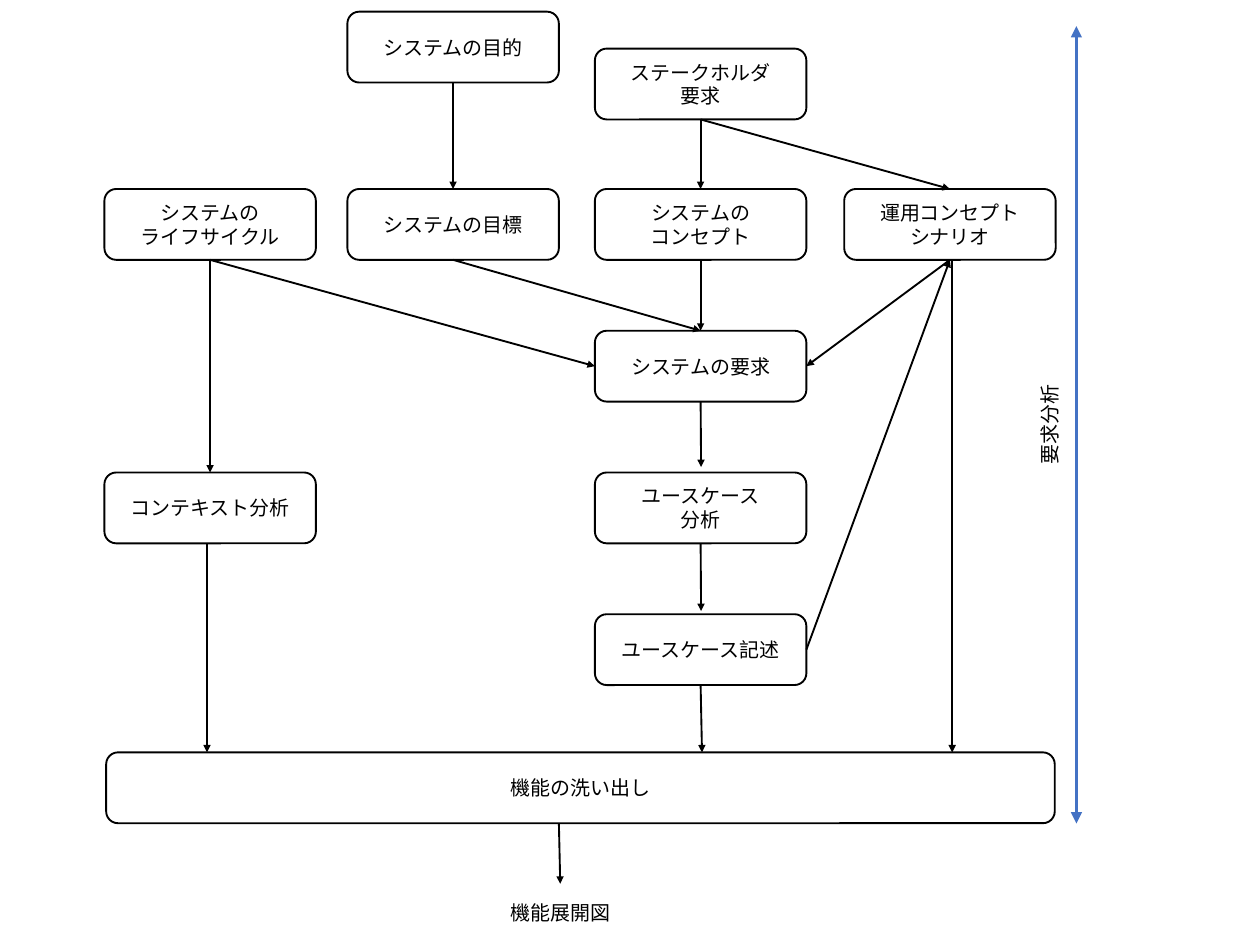
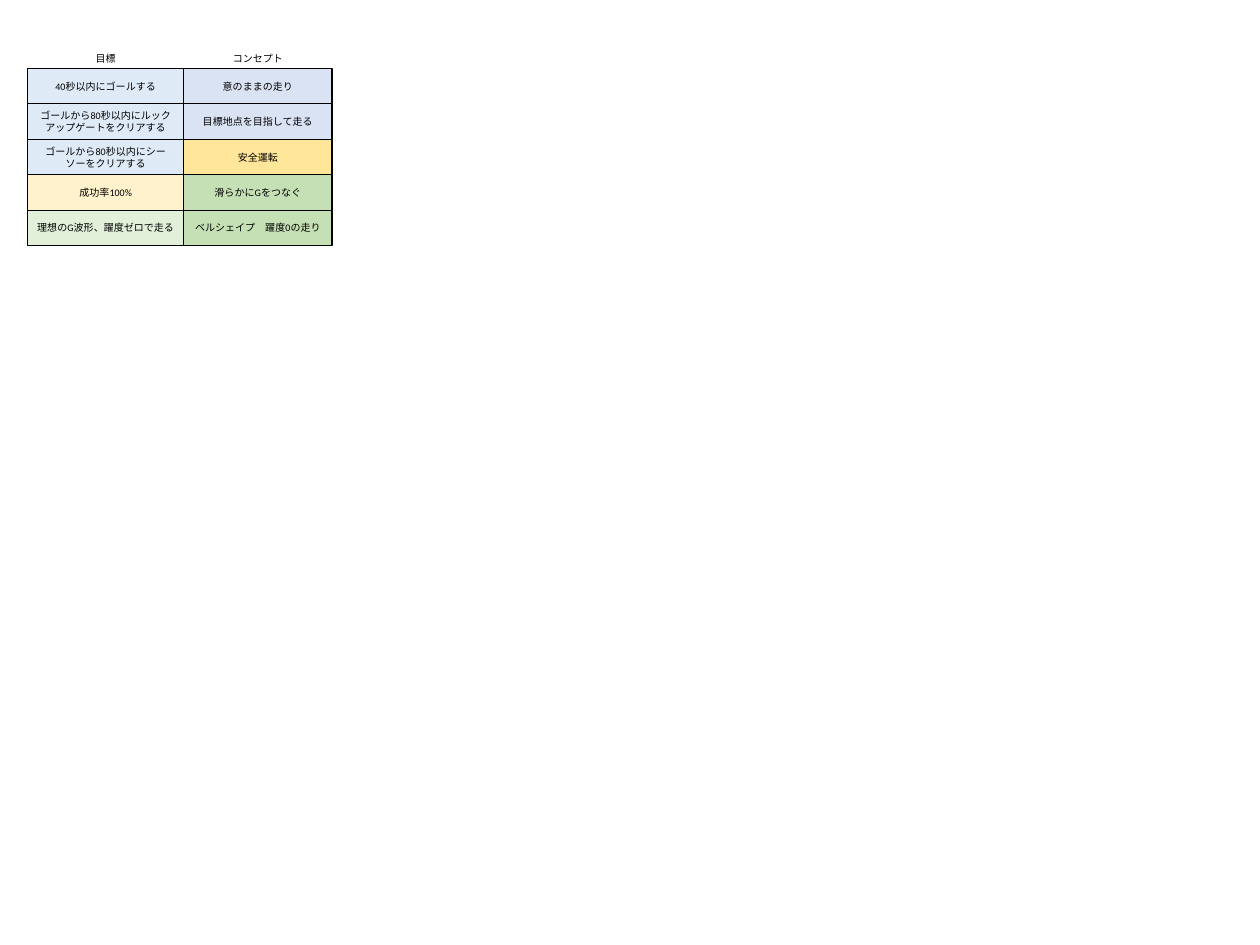
from pptx import Presentation
from pptx.dml.color import RGBColor
from pptx.enum.shapes import MSO_CONNECTOR, MSO_SHAPE
from pptx.enum.text import MSO_ANCHOR, PP_ALIGN
from pptx.oxml.ns import qn
from pptx.util import Inches, Pt
from lxml import etree

ROUND, RECT = MSO_SHAPE.ROUNDED_RECTANGLE, MSO_SHAPE.RECTANGLE
LINE = MSO_CONNECTOR.STRAIGHT
MIDDLE, CENTER = MSO_ANCHOR.MIDDLE, PP_ALIGN.CENTER
TOP, LEFT, BOTTOM, RIGHT = range(4)

BLACK = RGBColor(0x00, 0x00, 0x00)
WHITE = RGBColor(0xFF, 0xFF, 0xFF)
BLUE = RGBColor(0x44, 0x72, 0xC4)
SKY = RGBColor(0xDE, 0xEB, 0xF7)
CREAM = RGBColor(0xFF, 0xF2, 0xCC)
MINT = RGBColor(0xE2, 0xF0, 0xD9)
MIST = RGBColor(0xDA, 0xE3, 0xF3)
GOLD = RGBColor(0xFF, 0xE6, 0x99)
GREEN = RGBColor(0xC5, 0xE0, 0xB4)

COLS = (1.16, 3.86, 6.61, 9.38)
WIDE = 2.35
STEP = 6.3 / 4
HIGH = STEP / 2
ROWS = [2.1 + STEP * i for i in range(4)]

BOXES = {
    "stake": (COLS[2], 0.54, "ステークホルダ\n要求"),
    "aim": (COLS[1], 0.13, "システムの目的"),
    "goal": (COLS[1], ROWS[0], "システムの目標"),
    "life": (COLS[0], ROWS[0], "システムの\nライフサイクル"),
    "concept": (COLS[2], ROWS[0], "システムの\nコンセプト"),
    "scene": (COLS[3], ROWS[0], "運用コンセプト\nシナリオ"),
    "need": (COLS[2], ROWS[1], "システムの要求"),
    "case": (COLS[2], ROWS[2], "ユースケース\n分析"),
    "context": (COLS[0], ROWS[2], "コンテキスト分析"),
    "detail": (COLS[2], ROWS[3], "ユースケース記述"),
}

LINKS = (
    (("aim", BOTTOM), ("goal", TOP)),
    (("stake", BOTTOM), ("concept", TOP)),
    (("stake", BOTTOM), ("scene", TOP)),
    (("goal", BOTTOM), ("need", TOP)),
    (("concept", BOTTOM), ("need", TOP)),
    (("need", BOTTOM), (7.79, 5.19)),
    (("life", BOTTOM), ("context", TOP)),
    (("case", BOTTOM), (7.79, 6.79)),
    ((2.3, 6.04), (2.3, 8.36)),
    (("detail", BOTTOM), (7.8, 8.36)),
    ((10.58, 2.89), (10.58, 8.36)),
    ((6.21, 9.15), ("chart", TOP)),
    (("detail", RIGHT), ("scene", BOTTOM)),
    (("scene", BOTTOM), ("need", RIGHT)),
    (("life", BOTTOM), ("need", LEFT)),
)

GRID = (
    (0.31, 1.73, "目標", (
        ("40秒以内にゴールする", SKY),
        ("ゴールから80秒以内にルックアップゲートをクリアする", SKY),
        ("ゴールから80秒以内にシーソーをクリアする", SKY),
        ("成功率100%", CREAM),
        ("理想のG波形、躍度ゼロで走る", MINT))),
    (2.04, 1.65, "コンセプト", (
        ("意のままの走り", MIST),
        ("目標地点を目指して走る", MIST),
        ("安全運転", GOLD),
        ("滑らかにGをつなぐ", GREEN),
        ("ベルシェイプ\u3000躍度0の走り".replace("\u3000", "　"), GREEN))),
)
GRID_TOP, GRID_STEP = 0.76, 1.97 / 5


def write(shape, text, size):
    """Put centred text into a shape."""
    frame = shape.text_frame
    frame.word_wrap = True
    frame.vertical_anchor = MIDDLE
    frame.text = text
    style = {"name": "Calibri", "size": Pt(size)}
    for para in frame.paragraphs:
        para.alignment = CENTER
        para.font.color.rgb = BLACK
        for key, value in style.items():
            setattr(para.font, key, value)


def add_box(shapes, kind, place, text, size, fill=None, weight=1.5):
    """Add a labelled shape, without fill and outline if no fill is given."""
    box = shapes.add_shape(kind, *map(Inches, place))
    box.shadow.inherit = False
    if fill is None:
        box.fill.background()
        box.line.fill.background()
    else:
        box.fill.solid()
        box.fill.fore_color.rgb = fill
        box.line.color.rgb = BLACK
        box.line.width = Pt(weight)
    write(box, text, size)
    return box


def add_line(shapes, boxes, start, end, color=BLACK, weight=1.5, both=False):
    """Add an arrow between points or the sites of named boxes."""
    spots = [(0, 0) if spot[0] in boxes else spot for spot in (start, end)]
    line = shapes.add_connector(LINE, *map(Inches, spots[0] + spots[1]))
    for spot, join in ((start, line.begin_connect), (end, line.end_connect)):
        if spot[0] in boxes:
            join(boxes[spot[0]], spot[1])
    line.line.color.rgb = color
    line.line.width = Pt(weight)
    props = line.line._get_or_add_ln()
    for tag in ("a:headEnd", "a:tailEnd") if both else ("a:tailEnd",):
        etree.SubElement(props, qn(tag), type="triangle")
    etree.SubElement(props.getparent(), qn("a:effectLst"))


def draw_flow(slide):
    """Draw the flow of requirement analysis."""
    shapes = slide.shapes
    boxes = {name: add_box(shapes, ROUND, (x, y, WIDE, HIGH), text, 16, WHITE)
             for name, (x, y, text) in BOXES.items()}
    add_box(shapes, ROUND, (1.18, 8.36, 10.54, HIGH), "機能の洗い出し", 16, WHITE)
    boxes["chart"] = add_box(shapes, ROUND, (5.05, 9.82, WIDE, 0.63), "機能展開図", 16)
    for start, end in LINKS:
        add_line(shapes, boxes, start, end)
    add_line(shapes, boxes, (11.96, 9.15), (11.96, 0.29), BLUE, 3, True)
    phase = add_box(shapes, ROUND, (10.88, 4.46, 1.57, 0.52), "要求分析", 16)
    phase.rotation = 270


def draw_grid(slide):
    """Draw the goals beside the concepts."""
    shapes = slide.shapes.add_group_shape().shapes
    for left, width, head, cells in GRID:
        for row, (text, fill) in enumerate(cells):
            place = (left, GRID_TOP + row * GRID_STEP, width, GRID_STEP)
            add_box(shapes, RECT, place, text, 8, fill, 1)
        label = shapes.add_textbox(*map(Inches, (left, 0.53, width, 0.24)))
        write(label, head, 8)


def main():
    """Build both slides and save them."""
    deck = Presentation()
    deck.slide_width, deck.slide_height = Inches(14), Inches(10.5)
    blank = deck.slide_layouts[6]
    for draw in (draw_flow, draw_grid):
        draw(deck.slides.add_slide(blank))
    deck.save("out.pptx")


if __name__ == "__main__":
    main()
